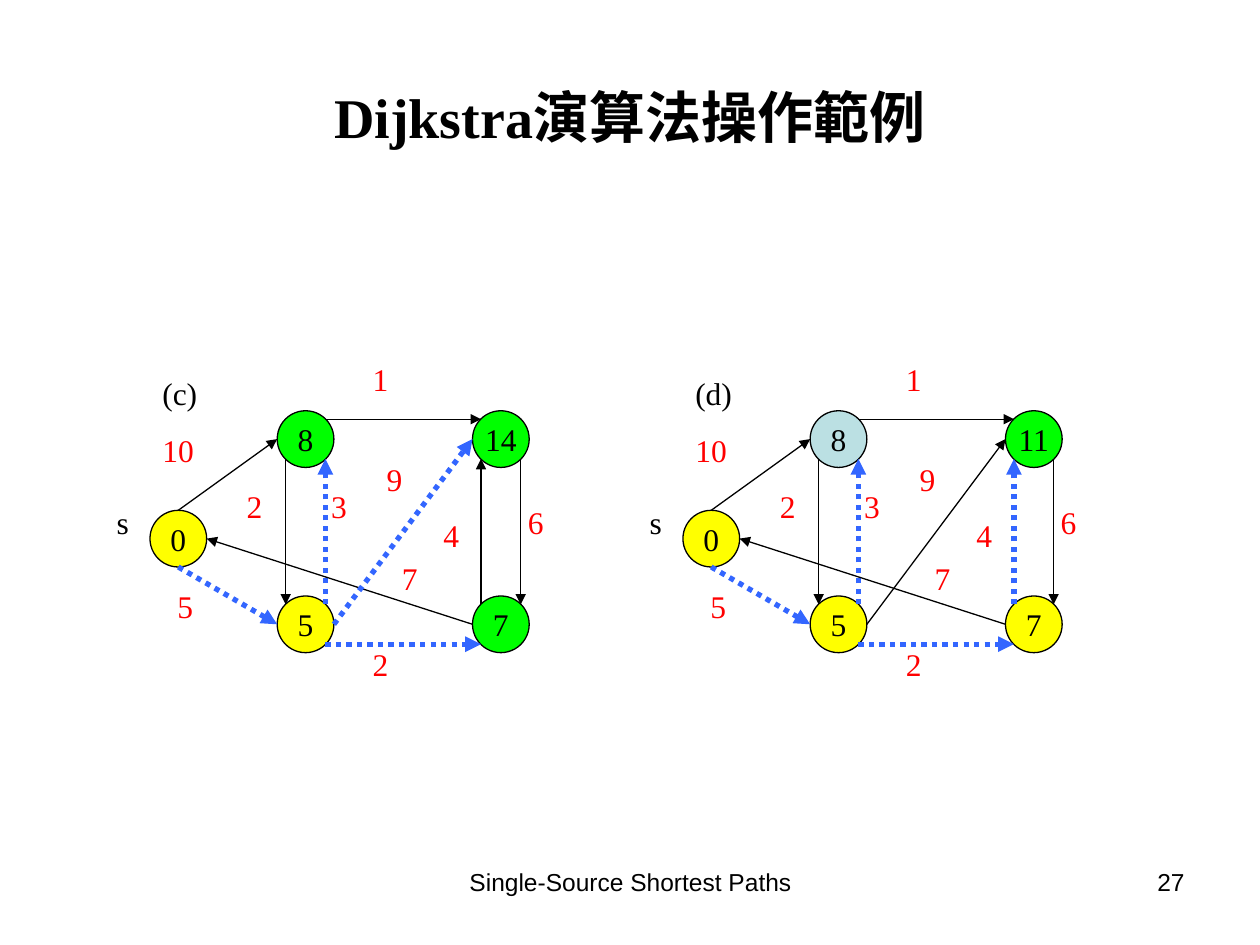
from dataclasses import dataclass

from lxml import etree
from pptx import Presentation
from pptx.dml.color import RGBColor
from pptx.enum.dml import MSO_LINE
from pptx.enum.shapes import MSO_CONNECTOR, MSO_SHAPE
from pptx.enum.text import MSO_ANCHOR, PP_ALIGN
from pptx.oxml.ns import qn
from pptx.util import Inches, Pt

OVAL = MSO_SHAPE.OVAL
STRAIGHT = MSO_CONNECTOR.STRAIGHT
DOTS = MSO_LINE.ROUND_DOT
MIDDLE = MSO_ANCHOR.MIDDLE
LEFT, CENTER, RIGHT = PP_ALIGN.LEFT, PP_ALIGN.CENTER, PP_ALIGN.RIGHT


@dataclass(frozen=True)
class Theme:
    ink: str = "000000"
    weight: str = "FF0000"
    tree: str = "3366FF"
    done: str = "FFFF00"
    seen: str = "00FF00"
    pale: str = "BBE0E3"
    serif: str = "Times New Roman"
    sans: str = "Arial"
    title: int = 32
    body: int = 18
    foot: int = 14
    thin: float = 0.75
    thick: float = 3


THEME = Theme()
SIZE = 0.45  # node diameter
NEAR, FAR = 0.15, 0.85  # where a diagonal meets the circle
PORTS = {
    "n": (0.5, 0), "s": (0.5, 1), "w": (0, 0.5), "e": (1, 0.5),
    "nw": (NEAR, NEAR), "ne": (FAR, NEAR), "sw": (NEAR, FAR), "se": (FAR, FAR),
}

# Places within a graph's box
SPOTS = {"s": (0.44, 1.24), "t": (1.45, 0.45), "x": (3, 0.45),
         "y": (1.45, 1.92), "z": (3, 1.92)}
EDGES = [  # from, port, to, port
    ("s", "n", "t", "w"), ("s", "s", "y", "w"),
    ("t", "ne", "x", "nw"), ("y", "se", "z", "sw"),
    ("t", "sw", "y", "nw"), ("y", "ne", "t", "se"),
    ("x", "se", "z", "ne"), ("z", "nw", "x", "sw"),
    ("z", "w", "s", "e"), ("y", "e", "x", "w"),
]
WEIGHTS = [
    ("10", 0.44, 0.56), ("5", 0.56, 1.8), ("1", 2.11, 0), ("2", 1.11, 1.01),
    ("3", 1.78, 1.01), ("2", 2.11, 2.26), ("7", 2.34, 1.58), ("9", 2.22, 0.79),
    ("4", 2.67, 1.24), ("6", 3.34, 1.13),
]


def color(code):
    return RGBColor.from_string(code)


def write(frame, text, size, face, code=THEME.ink, align=CENTER, bold=False):
    frame.text = text
    para = frame.paragraphs[0]
    para.alignment = align
    font = para.runs[0].font
    font.size, font.name, font.bold = Pt(size), face, bold
    font.color.rgb = color(code)


def add_text(shapes, box, text, size, face, code=THEME.ink, align=LEFT):
    frame = shapes.add_textbox(*map(Inches, box)).text_frame
    frame.word_wrap = True
    write(frame, text, size, face, code, align)


def add_node(shapes, left, top, text, fill):
    node = shapes.add_shape(OVAL, *map(Inches, (left, top, SIZE, SIZE)))
    node.shadow.inherit = False
    node.fill.solid()
    node.fill.fore_color.rgb = color(fill)
    node.line.color.rgb = color(THEME.ink)
    node.line.width = Pt(THEME.thin)
    frame = node.text_frame
    frame.word_wrap = False
    frame.vertical_anchor = MIDDLE
    write(frame, text, THEME.body, THEME.serif)


def add_edge(shapes, start, end, tree):
    """Draw an arrow; tree edges are thick, blue and dotted."""
    edge = shapes.add_connector(STRAIGHT, *map(Inches, (*start, *end)))
    edge.line.color.rgb = color(THEME.tree if tree else THEME.ink)
    edge.line.width = Pt(THEME.thick if tree else THEME.thin)
    if tree:
        edge.line.dash_style = DOTS
    props = edge._element.spPr
    etree.SubElement(props.find(qn("a:ln")), qn("a:tailEnd"), type="triangle")
    etree.SubElement(props, qn("a:effectLst"))


def add_graph(slide, left, top, name, nodes, tree):
    """Place one step: nodes maps a spot to (distance, fill)."""
    shapes = slide.shapes.add_group_shape().shapes

    def port(spot, side):
        x, y = SPOTS[spot]
        across, down = PORTS[side]
        return left + x + across * SIZE, top + y + down * SIZE

    for spot, (text, fill) in nodes.items():
        x, y = SPOTS[spot]
        add_node(shapes, left + x, top + y, text, fill)
    for tail, out, head, into in EDGES:
        add_edge(shapes, port(tail, out), port(head, into), tail + head in tree)
    for text, x, y in WEIGHTS:
        add_text(shapes, (left + x, top + y, 0.78, 0.4), text,
                 THEME.body, THEME.serif, THEME.weight)
    add_text(shapes, (left + 0.44, top + 0.11, 1, 0.4), name,
             THEME.body, THEME.serif)
    add_text(shapes, (left, top + 1.13, 0.45, 0.4), "s",
             THEME.body, THEME.serif, align=CENTER)


def add_title(slide, box, text):
    title = slide.shapes.title
    title.left, title.top, title.width, title.height = map(Inches, box)
    title.text_frame.vertical_anchor = MIDDLE
    write(title.text_frame, text, THEME.title, THEME.serif, bold=True)


def add_foot(slide, top, text, number):
    for left, width, part, align in ((3.42, 3.17, text, CENTER),
                                     (7.17, 2.33, number, RIGHT)):
        add_text(slide.shapes, (left, top, width, 0.52), part,
                 THEME.foot, THEME.sans, align=align)


def main():
    deck = Presentation()
    deck.slide_width, deck.slide_height = Inches(10), Inches(7.5)
    slide = deck.slides.add_slide(deck.slide_layouts[5])
    done, seen, pale = THEME.done, THEME.seen, THEME.pale

    add_title(slide, (0.5, 0.3, 9, 1.25), "Dijkstra演算法操作範例")
    add_graph(slide, 4.98, 2.81, "(d)",
              {"s": ("0", done), "t": ("8", pale), "x": ("11", seen),
               "y": ("5", done), "z": ("7", done)},
              {"sy", "yz", "yt", "zx"})
    add_graph(slide, 0.75, 2.81, "(c)",
              {"s": ("0", done), "t": ("8", seen), "x": ("14", seen),
               "y": ("5", done), "z": ("7", seen)},
              {"sy", "yz", "yt", "yx"})
    add_foot(slide, 6.83, "Single-Source Shortest Paths", "27")
    deck.save("out.pptx")


if __name__ == "__main__":
    main()
